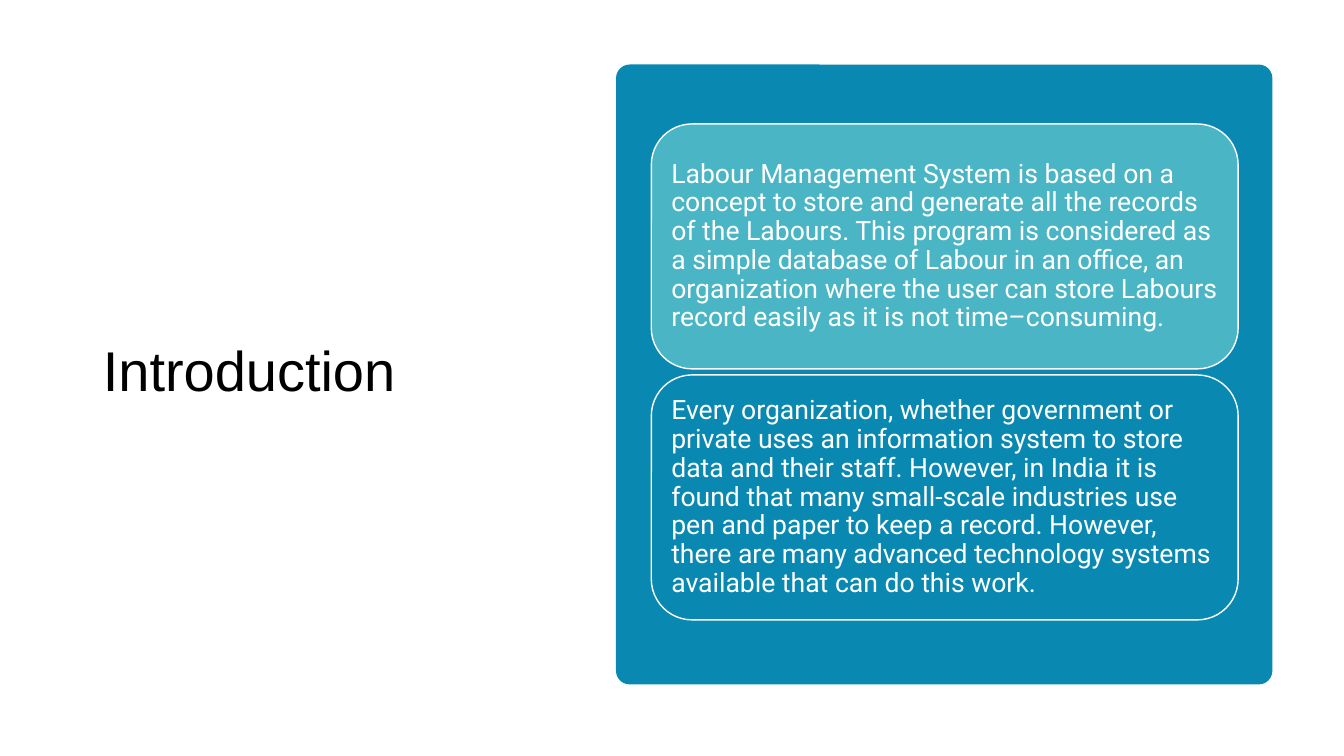
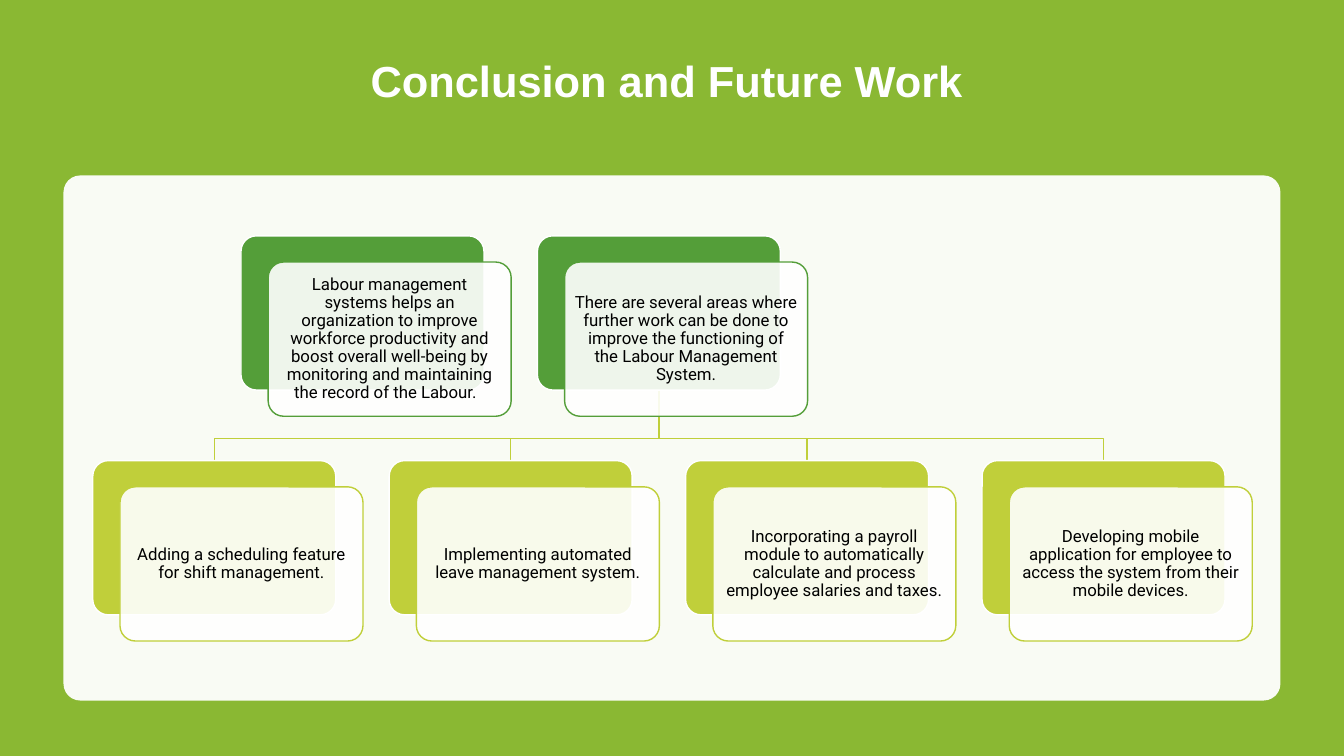
from lxml import etree
from pptx import Presentation
from pptx.dml.color import RGBColor
from pptx.enum import shapes, text
from pptx.oxml.ns import qn
from pptx.util import Inches, Pt

WHITE = RGBColor(0xFF, 0xFF, 0xFF)
BLACK = RGBColor(0x00, 0x00, 0x00)
BLUE = RGBColor(0x09, 0x89, 0xB1)
TEAL = RGBColor(0x4A, 0xB5, 0xC4)
LEAF = RGBColor(0x8A, 0xB8, 0x33)
GREEN = RGBColor(0x54, 0x9E, 0x39)
LIME = RGBColor(0xC0, 0xCF, 0x3A)

TITLE_FONT, BODY_FONT = "Arial", "Roboto"
LEFT, CENTER = text.PP_ALIGN.LEFT, text.PP_ALIGN.CENTER
TOP, MIDDLE = text.MSO_ANCHOR.TOP, text.MSO_ANCHOR.MIDDLE
LINE_SPACING = 0.9

CARD_WIDTH, CARD_HEIGHT, CARD_OFFSET = 2.41, 1.53, 0.26
CARD_PITCH, FIRST_CARD_LEFT = 2.94, 0.92
PARENT_TOP, BRANCH_TOP, CHILD_TOP = 2.34, 4.35, 4.57

INTRODUCTION = [
    ("Labour Management System is based on a concept to store and generate all "
     "the records of the Labours. This program is considered as a simple database "
     "of Labour in an office, an organization where the user can store Labours "
     "record easily as it is not time\u2013consuming.", TEAL),
    ("Every organization, whether government or private uses an information system "
     "to store data and their staff. However, in India it is found that many "
     "small-scale industries use pen and paper to keep a record. However, there are "
     "many advanced technology systems available that can do this work.", BLUE),
]
CONCLUSIONS = [
    "Labour management systems\u00a0helps an organization to improve workforce "
    "productivity and boost overall well-being by monitoring and maintaining the "
    "record of the Labour. \u00a0",
    "There are several areas where further work can be done to improve the "
    "functioning of the Labour Management System.",
]
FUTURE_WORK = [
    "Adding a scheduling feature for shift management.",
    "Implementing automated leave management system.",
    "Incorporating a payroll module to automatically calculate and process "
    "employee salaries and taxes.",
    "Developing mobile application for employee to access the system from their "
    "mobile devices.",
]


def apply_format(target, values):
    """Set each attribute of target from a dict."""
    for name, value in values.items():
        setattr(target, name, value)


def write_text(shape, words, font, alignment, anchor=MIDDLE, margin=None):
    """Fill a shape with one formatted paragraph."""
    frame = shape.text_frame
    apply_format(frame, {"word_wrap": True, "auto_size": text.MSO_AUTO_SIZE.NONE,
                         "vertical_anchor": anchor})
    if margin is not None:
        sides = ("left", "top", "right", "bottom")
        apply_format(frame, {f"margin_{side}": Inches(margin) for side in sides})
    paragraph = frame.paragraphs[0]
    apply_format(paragraph, {"alignment": alignment, "line_spacing": LINE_SPACING})
    run = paragraph.add_run()
    run.text = words
    color = font.pop("color")
    apply_format(run.font, font)
    run.font.color.rgb = color


def add_slide(presentation, background):
    """Add a title-only slide with a plain background."""
    slide = presentation.slides.add_slide(presentation.slide_layouts[5])
    slide.background.fill.solid()
    slide.background.fill.fore_color.rgb = background
    return slide


def set_title(slide, words, box, size, color, bold=False, alignment=LEFT, anchor=MIDDLE):
    """Place and format the title placeholder."""
    title = slide.shapes.title
    apply_format(title, dict(zip(("left", "top", "width", "height"), map(Inches, box))))
    font = {"name": TITLE_FONT, "size": Pt(size), "bold": bold, "color": color}
    write_text(title, words, font, alignment, anchor)
    return title


def add_rounded(slide, box, radius, fill, line=None, opacity=100):
    """Add a rounded rectangle, optionally outlined or translucent."""
    shape = slide.shapes.add_shape(shapes.MSO_SHAPE.ROUNDED_RECTANGLE, *map(Inches, box))
    shape.shadow.inherit = False
    shape.adjustments[0] = radius
    shape.fill.solid()
    shape.fill.fore_color.rgb = fill
    if opacity < 100:
        color = shape.fill._xPr.find(f".//{qn('a:srgbClr')}")
        etree.SubElement(color, qn("a:alpha"), val=str(opacity * 1000))
    if line is None:
        shape.line.fill.background()
    else:
        shape.line.color.rgb = line
        shape.line.width = Pt(1)
    return shape


def add_card(slide, left, top, words, color):
    """Add a coloured backing with a translucent text card offset over it."""
    add_rounded(slide, (left, top, CARD_WIDTH, CARD_HEIGHT), 0.1, color, WHITE)
    front = add_rounded(slide, (left + CARD_OFFSET + 0.01, top + CARD_OFFSET,
                                CARD_WIDTH, CARD_HEIGHT), 0.1, WHITE, color, 90)
    font = {"name": BODY_FONT, "size": Pt(12), "color": BLACK}
    write_text(front, words, font, CENTER, margin=0.05)


def add_branch(slide, parent_center, child_center):
    """Draw the right-angled line from a parent card to a child card."""
    points = [(parent_center, PARENT_TOP + CARD_HEIGHT), (parent_center, BRANCH_TOP),
              (child_center, BRANCH_TOP), (child_center, CHILD_TOP)]
    start, *others = [(Inches(x), Inches(y)) for x, y in points]
    builder = slide.shapes.build_freeform(*start)
    builder.add_line_segments(others, close=False)
    branch = builder.convert_to_shape()
    branch.shadow.inherit = False
    branch.fill.background()
    branch.line.color.rgb = LIME
    branch.line.width = Pt(1)


def build_introduction(presentation):
    """Build the introduction slide with its two stacked statements."""
    slide = add_slide(presentation, WHITE)
    set_title(slide, "Introduction", (0.92, 0.96, 4.79, 5.48), 40, BLACK)
    add_rounded(slide, (6.11, 0.64, 6.51, 6.15), 0.022, BLUE)
    for index, (words, color) in enumerate(INTRODUCTION):
        statement = add_rounded(slide, (6.46, 1.23 + 2.49 * index, 5.82, 2.43),
                                0.1667, color, WHITE)
        font = {"name": BODY_FONT, "size": Pt(19), "color": WHITE}
        write_text(statement, words, font, LEFT, margin=0.08)


def build_conclusion(presentation):
    """Build the conclusion slide with its tree of cards."""
    slide = add_slide(presentation, LEAF)
    title = set_title(slide, "Conclusion and Future Work", (0.92, 0.5, 11.5, 1.1),
                      31, WHITE, True, CENTER, TOP)
    apply_format(title.text_frame, {"margin_top": Inches(0.1),
                                    "margin_right": Inches(0.22)})
    add_rounded(slide, (0.63, 1.74, 12.07, 5.21), 0.032, WHITE, opacity=95)

    child_lefts = [FIRST_CARD_LEFT + CARD_PITCH * i for i in range(len(FUTURE_WORK))]
    parent_lefts = [left + CARD_PITCH / 2 for left in child_lefts[:len(CONCLUSIONS)]]
    half = CARD_WIDTH / 2
    for left in reversed(child_lefts):
        add_branch(slide, parent_lefts[-1] + half, left + half)
    for left, words in zip(parent_lefts, CONCLUSIONS):
        add_card(slide, left, PARENT_TOP, words, GREEN)
    for left, words in zip(child_lefts, FUTURE_WORK):
        add_card(slide, left, CHILD_TOP, words, LIME)


def main():
    """Build and save the presentation."""
    presentation = Presentation()
    presentation.slide_width = Inches(13.33)
    presentation.slide_height = Inches(7.5)
    build_introduction(presentation)
    build_conclusion(presentation)
    presentation.save("out.pptx")


main()
